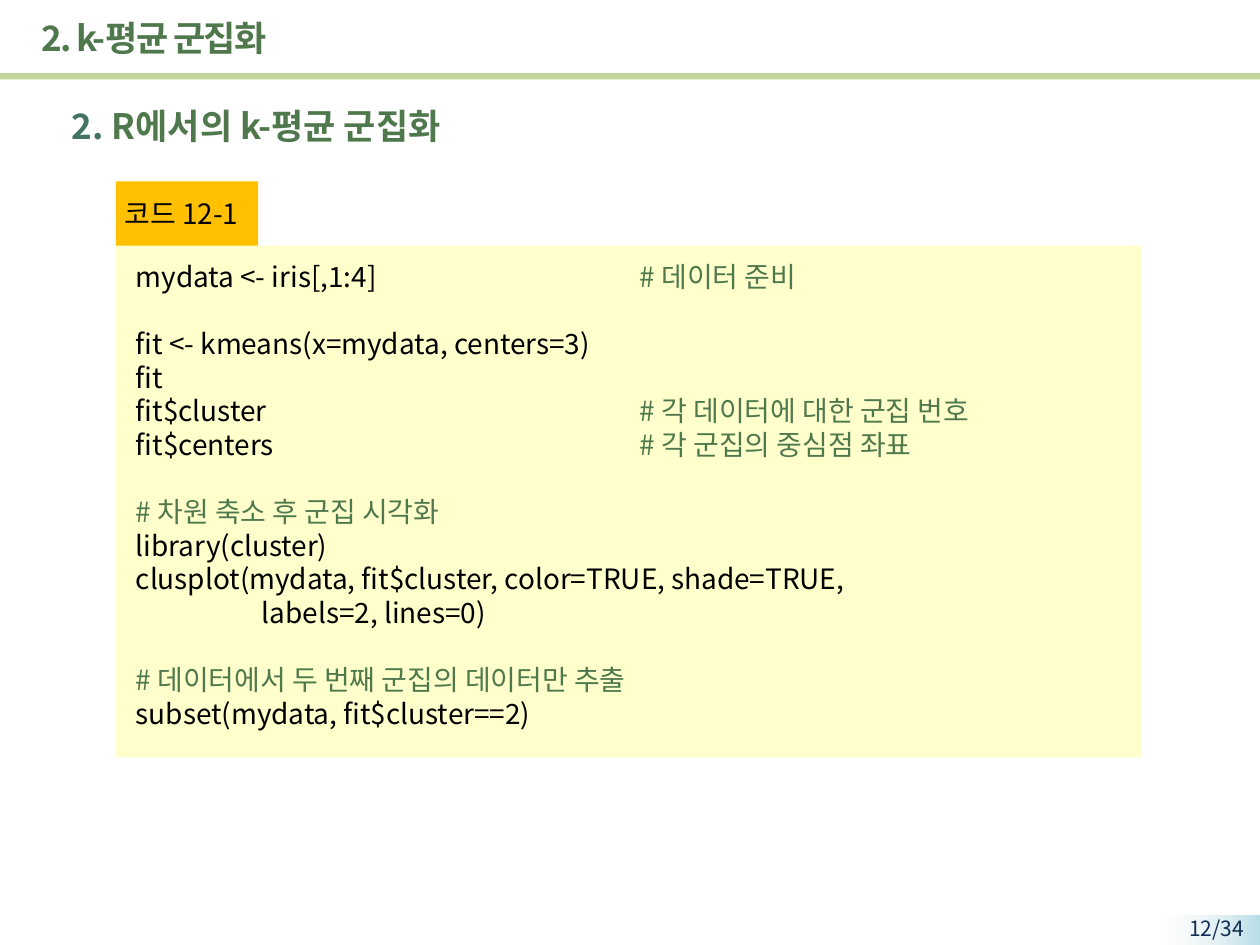
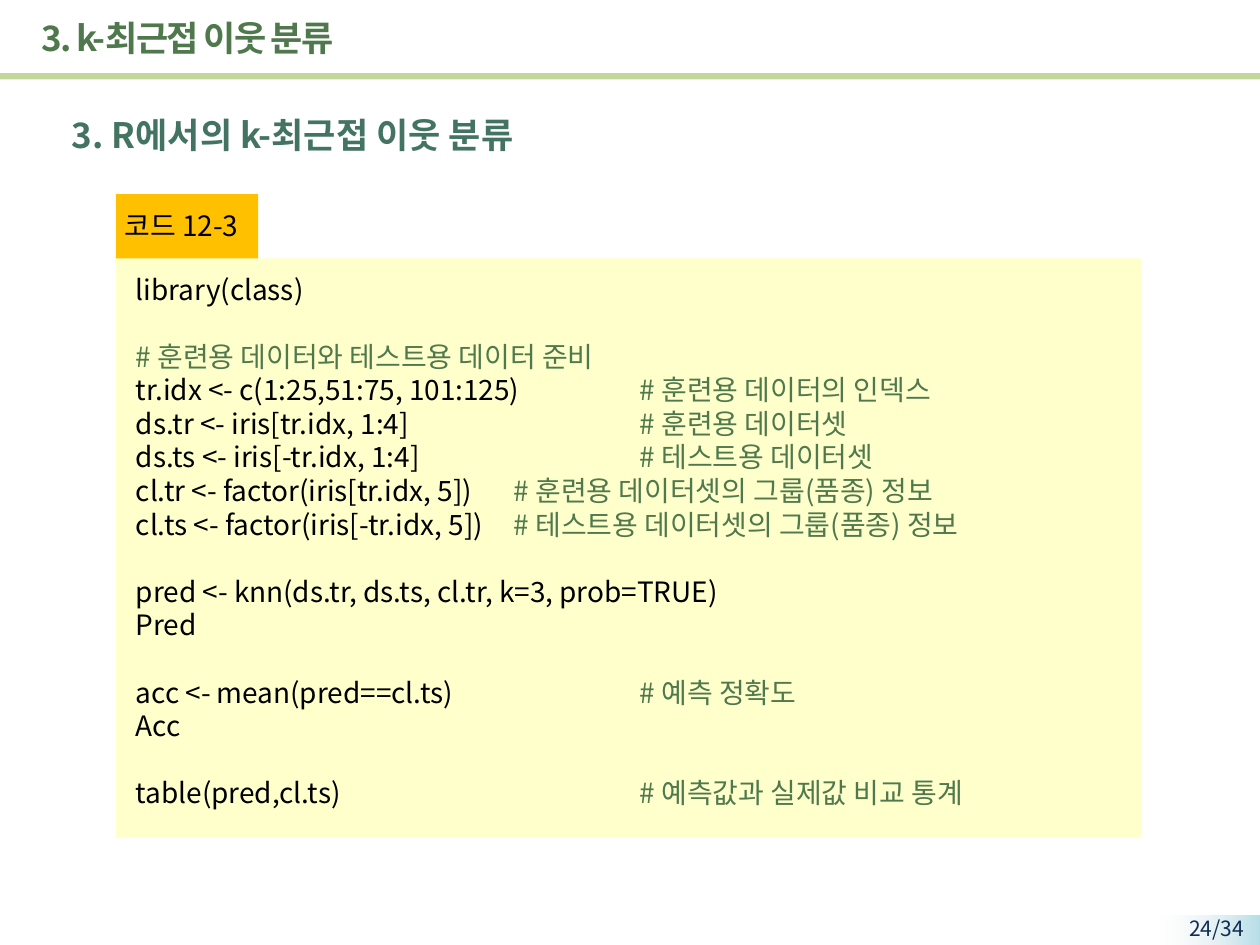
import pptx
import pptx.util
import pptx.dml.color
import pptx.enum.shapes
import pptx.enum.text
import pptx.oxml.ns
import lxml.etree

FONT = "Noto Sans CJK KR"
WIDE, HIGH = 10, 7.5
COLS, ROWS = 100, 75
LEAD = 1.2
INK = {
    "title": "4F784C",
    "head": "437361",
    "note": "4F784C",
    "code": "000000",
    "rule": "C3D69B",
    "tab": "FFC000",
    "panel": "FFFFCC",
    "page": "0F2E53",
    "glow": "B7DEE8",
    "fade": "F2F2F2",
}
PAGES = [
    {
        "title": "2. k-평균 군집화",
        "head": [("2. ", "head"), ("R에서의 k-평균 군집화", "title")],
        "top": 7.8,
        "label": "코드 12-1",
        "row": 14.4,
        "page": "12/34",
        "code": [
            ["mydata <- iris[,1:4]\t# 데이터 준비"],
            ["fit <- kmeans(x=mydata, centers=3)",
             "fit",
             "fit$cluster\t# 각 데이터에 대한 군집 번호",
             "fit$centers\t# 각 군집의 중심점 좌표"],
            ["# 차원 축소 후 군집 시각화",
             "library(cluster)",
             "clusplot(mydata, fit$cluster, color=TRUE, shade=TRUE,",
             "\tlabels=2, lines=0)"],
            ["# 데이터에서 두 번째 군집의 데이터만 추출",
             "subset(mydata, fit$cluster==2)"],
        ],
    },
    {
        "title": "3. k-최근접 이웃 분류",
        "head": [("3. R에서의 k-최근접 이웃 분류", "head")],
        "top": 8.5,
        "label": "코드 12-3",
        "row": 15.4,
        "page": "24/34",
        "code": [
            ["library(class)"],
            ["# 훈련용 데이터와 테스트용 데이터 준비",
             "tr.idx <- c(1:25,51:75, 101:125)\t# 훈련용 데이터의 인덱스",
             "ds.tr <- iris[tr.idx, 1:4]\t# 훈련용 데이터셋",
             "ds.ts <- iris[-tr.idx, 1:4]\t# 테스트용 데이터셋",
             "cl.tr <- factor(iris[tr.idx, 5])\t# 훈련용 데이터셋의 그룹(품종) 정보",
             "cl.ts <- factor(iris[-tr.idx, 5])\t# 테스트용 데이터셋의 그룹(품종) 정보"],
            ["pred <- knn(ds.tr, ds.ts, cl.tr, k=3, prob=TRUE)",
             "Pred"],
            ["acc <- mean(pred==cl.ts)\t# 예측 정확도",
             "Acc"],
            ["table(pred,cl.ts)\t# 예측값과 실제값 비교 통계"],
        ],
    },
]


def tint(name):
    return pptx.dml.color.RGBColor.from_string(INK[name])


def place(col, row, cols, rows):
    across = pptx.util.Inches(WIDE / COLS)
    down = pptx.util.Inches(HIGH / ROWS)
    return [round(n) for n in (col * across, row * down, cols * across, rows * down)]


def add_bar(slide, spot, color):
    bar = slide.shapes.add_shape(pptx.enum.shapes.MSO_SHAPE.RECTANGLE, *place(*spot))
    bar.shadow.inherit = False
    bar.fill.solid()
    bar.fill.fore_color.rgb = tint(color)
    bar.line.fill.background()
    return bar


def add_glow(slide, spot):
    bar = add_bar(slide, spot, "glow")
    bar.fill.gradient()
    bar.fill.gradient_angle = 180
    for stop, name in zip(bar.fill.gradient_stops, ("glow", "fade")):
        stop.color.rgb = tint(name)
    qn = pptx.oxml.ns.qn
    last = list(bar.fill._fill._gradFill.iter(qn("a:srgbClr")))[-1]
    lxml.etree.SubElement(last, qn("a:alpha"), val="0")


def add_box(slide, spot, wrap=True):
    frame = slide.shapes.add_textbox(*place(*spot)).text_frame
    frame.word_wrap = wrap
    return frame


def add_runs(para, parts, size, bold=False, tight=0):
    para.line_spacing = pptx.util.Pt(size * LEAD)
    for text, color in parts:
        run = para.add_run()
        run.text = text
        run.font.name = FONT
        run.font.size = pptx.util.Pt(size)
        run.font.bold = bold
        run.font.color.rgb = tint(color)
        props = run.font._element
        if tight:
            props.set("spc", str(tight))
        lxml.etree.SubElement(props, pptx.oxml.ns.qn("a:ea"), typeface=FONT)


def set_tab(para, inch):
    qn = pptx.oxml.ns.qn
    tabs = lxml.etree.SubElement(para._p.get_or_add_pPr(), qn("a:tabLst"))
    lxml.etree.SubElement(tabs, qn("a:tab"), pos=str(pptx.util.Inches(inch)), algn="l")


def add_line(para, line, size, gap):
    code, mark, note = line.partition("#")
    parts = [(code, "code"), (mark + note, "note")]
    add_runs(para, [part for part in parts if part[0]], size)
    if gap:
        para.space_before = pptx.util.Pt(size * LEAD)
    if "\t" in line:
        indent = 1 if line.startswith("\t") else 4
        set_tab(para, 3 if len(note) > 17 else indent)


def add_code(slide, label, row, blocks):
    count = sum(map(len, blocks)) + len(blocks) - 1
    add_bar(slide, (9.2, row, 11.3, 5.2), "tab")
    add_bar(slide, (9.2, row + 5.1, 81.4, count * 2.7 + 2.8), "panel")
    frame = add_box(slide, (8.9, row + 0.7, 12, 3.7), wrap=False)
    add_runs(frame.paragraphs[0], [(label, "code")], 16)
    frame = add_box(slide, (9.8, row + 5.7, 77.6, count * 2.7 + 1))
    para = frame.paragraphs[0]
    for index, block in enumerate(blocks):
        for step, line in enumerate(block):
            if index or step:
                para = frame.add_paragraph()
            add_line(para, line, 16, index and not step)


def add_frame(slide, title, page):
    add_glow(slide, (92, 72.7, 8, 2.4))
    para = add_box(slide, (90.5, 72.2, 9.2, 2.3)).paragraphs[0]
    para.alignment = pptx.enum.text.PP_ALIGN.RIGHT
    add_runs(para, [(page, "page")], 12)
    add_bar(slide, (0, 5.8, COLS, 0.5), "rule")
    frame = add_box(slide, (2.3, 0.4, 85.1, 5.2))
    frame.vertical_anchor = pptx.enum.text.MSO_ANCHOR.MIDDLE
    add_runs(frame.paragraphs[0], [(title, "title")], 20, True, -100)


def add_head(slide, row, parts):
    frame = add_box(slide, (4.7, row, 93.5, 5.2))
    add_runs(frame.paragraphs[0], parts, 20, True)


def main():
    deck = pptx.Presentation()
    deck.slide_width = pptx.util.Inches(WIDE)
    deck.slide_height = pptx.util.Inches(HIGH)
    for page in PAGES:
        slide = deck.slides.add_slide(deck.slide_layouts[6])
        add_frame(slide, page["title"], page["page"])
        add_head(slide, page["top"], page["head"])
        add_code(slide, page["label"], page["row"], page["code"])
    deck.save("out.pptx")


if __name__ == "__main__":
    main()
